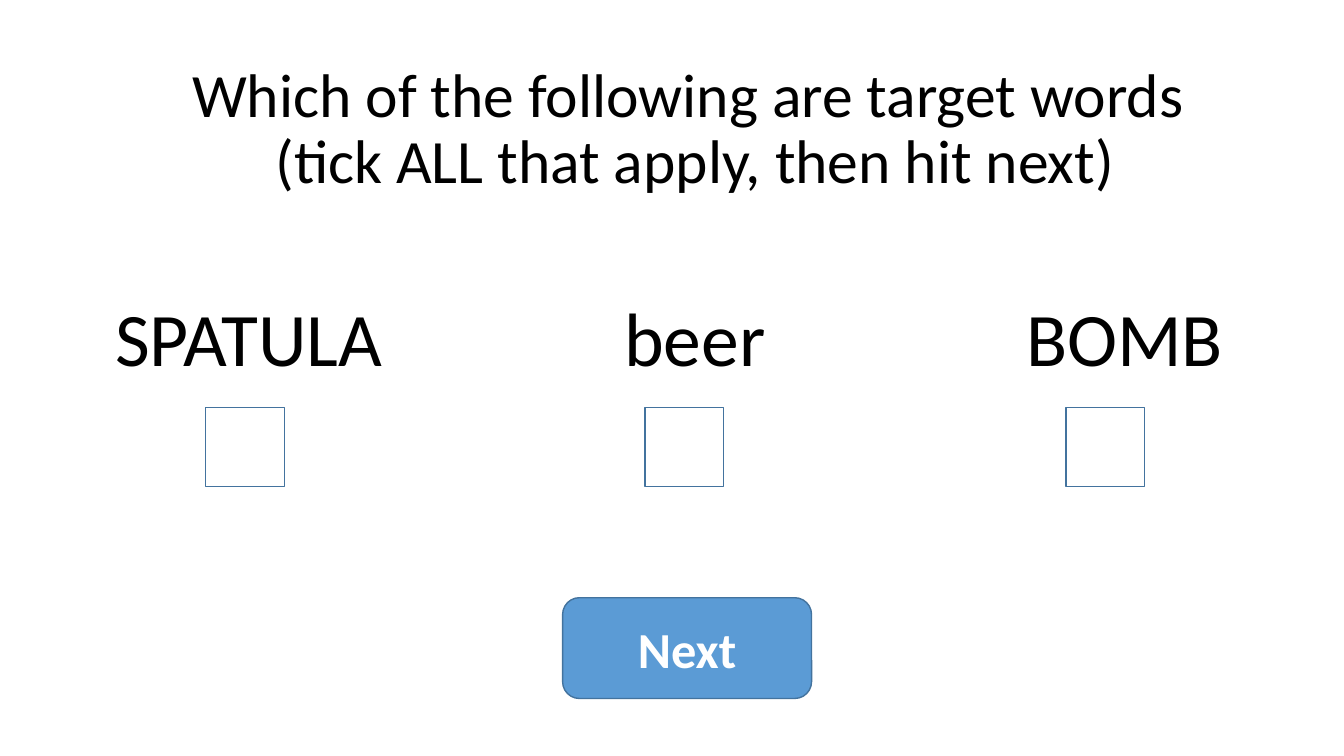
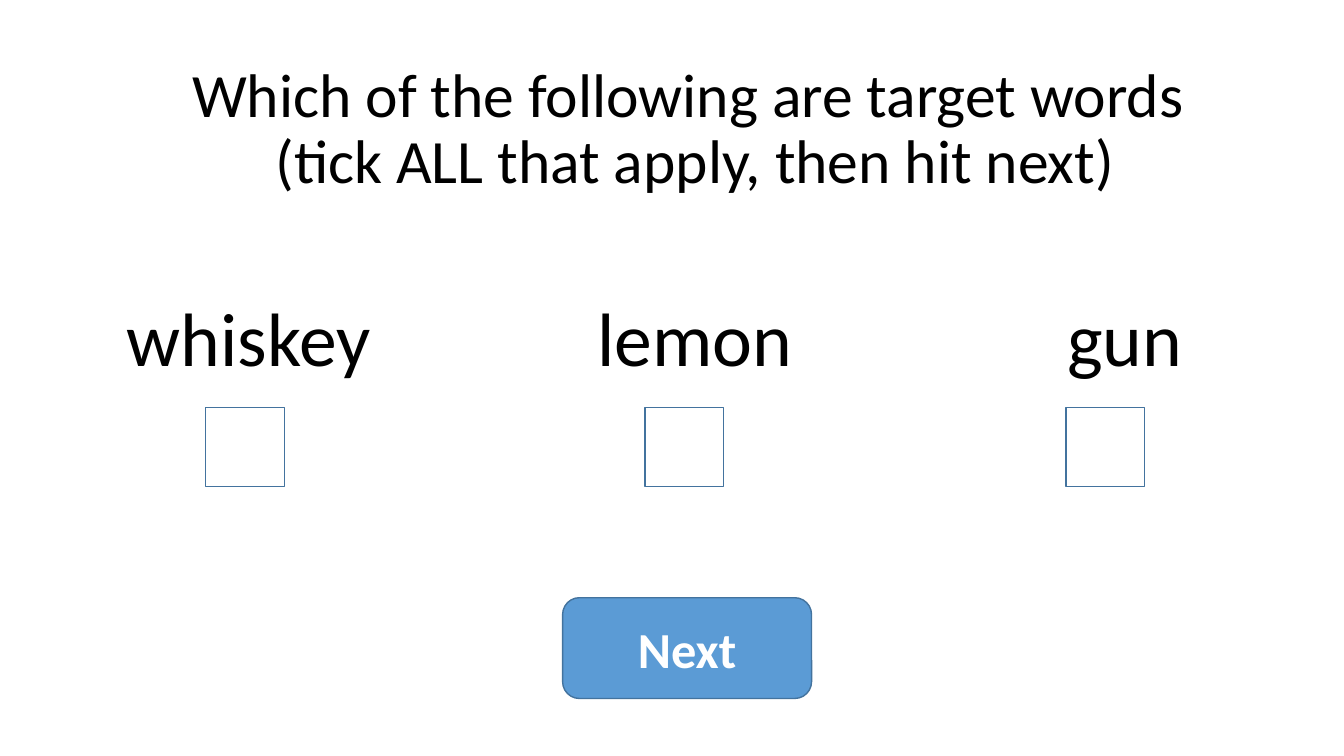
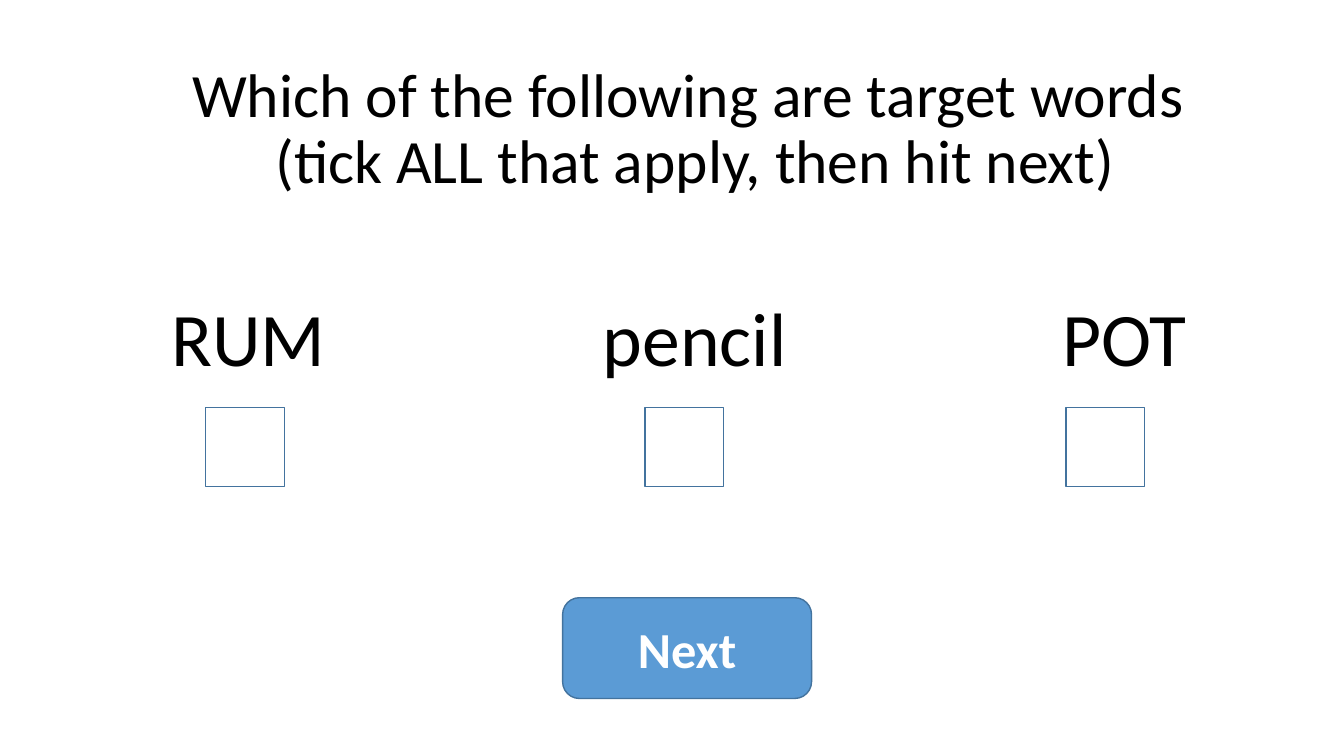
from pptx import Presentation
from pptx.dml.color import RGBColor
from pptx.enum.shapes import MSO_SHAPE
from pptx.enum.text import MSO_ANCHOR, MSO_AUTO_SIZE, PP_ALIGN
from pptx.util import Inches, Pt

# Shared style
BLACK = RGBColor(0x00, 0x00, 0x00)
WHITE = RGBColor(0xFF, 0xFF, 0xFF)
BLUE = RGBColor(0x5B, 0x9B, 0xD5)
OUTLINE = RGBColor(0x43, 0x73, 0x9E)
FONT = "Calibri"
COLUMNS, ROWS = 40, 30

# Shared content
QUESTION = "Which of the following are target words \v(tick ALL that apply, then hit next)"
WORD_SETS = [
    ("SPATULA", "beer", "BOMB"),
    ("whiskey", "lemon", "gun"),
    ("RUM", "pencil", "POT"),
]
# Word centre, word width and tick box centre of each choice, in columns
CHOICES = [(7.4, 10.53, 7.29), (20.68, 11.94, 20.37), (33.47, 9.27, 32.89)]


def write(shape, text, size=54, color=BLACK, bold=False, spacing=1.0,
          anchor=MSO_ANCHOR.TOP, fit=MSO_AUTO_SIZE.NONE):
    """Write one centred paragraph into a shape."""
    frame = shape.text_frame
    frame.word_wrap = True
    frame.auto_size = fit
    frame.vertical_anchor = anchor
    para = frame.paragraphs[0]
    para.text = text
    para.alignment = PP_ALIGN.CENTER
    para.line_spacing = spacing
    for span in para.runs:
        span.font.name = FONT
        span.font.size = Pt(size)
        span.font.bold = bold
        span.font.color.rgb = color


class QuizDeck:
    """Holds the deck, its grid and the current slide."""

    def __init__(self):
        self.deck = Presentation()
        self.deck.slide_width = Inches(13.33)
        self.deck.slide_height = Inches(7.5)
        self.column = self.deck.slide_width / COLUMNS
        self.row = self.deck.slide_height / ROWS
        self.page = None

    def new_page(self):
        self.page = self.deck.slides.add_slide(self.deck.slide_layouts[6])

    def place(self, center, top, width, height):
        """Turn a centre column, top row and size into slide lengths."""
        return (round((center - width / 2) * self.column), round(top * self.row),
                round(width * self.column), round(height * self.row))

    def outlined(self, kind, *area, fill=None):
        shape = self.page.shapes.add_shape(kind, *self.place(*area))
        shape.shadow.inherit = False
        shape.line.color.rgb = OUTLINE
        shape.line.width = Pt(1)
        if fill is None:
            shape.fill.background()
        else:
            shape.fill.solid()
            shape.fill.fore_color.rgb = fill
        return shape

    def title(self, text):
        box = self.page.shapes.add_textbox(*self.place(20.7, 2.28, 34.5, 5.8))
        write(box, text, size=44, spacing=0.9, anchor=MSO_ANCHOR.MIDDLE)

    def word(self, text, center, width):
        box = self.page.shapes.add_textbox(*self.place(center, 11.36, width, 4.04))
        write(box, text, fit=MSO_AUTO_SIZE.SHAPE_TO_FIT_TEXT)

    def tick_box(self, center):
        self.outlined(MSO_SHAPE.RECTANGLE, center, 16.18, 2.34, 3.12)

    def button(self, text):
        shape = self.outlined(MSO_SHAPE.ROUNDED_RECTANGLE, 20.45, 23.72, 7.41, 4, fill=BLUE)
        write(shape, text, size=36, color=WHITE, bold=True, anchor=MSO_ANCHOR.MIDDLE)


def main():
    quiz = QuizDeck()
    for words in WORD_SETS:
        quiz.new_page()
        quiz.title(QUESTION)
        for text, (word_center, word_width, box_center) in zip(words, CHOICES):
            quiz.word(text, word_center, word_width)
            quiz.tick_box(box_center)
        quiz.button("Next")
    quiz.deck.save("out.pptx")


if __name__ == "__main__":
    main()
